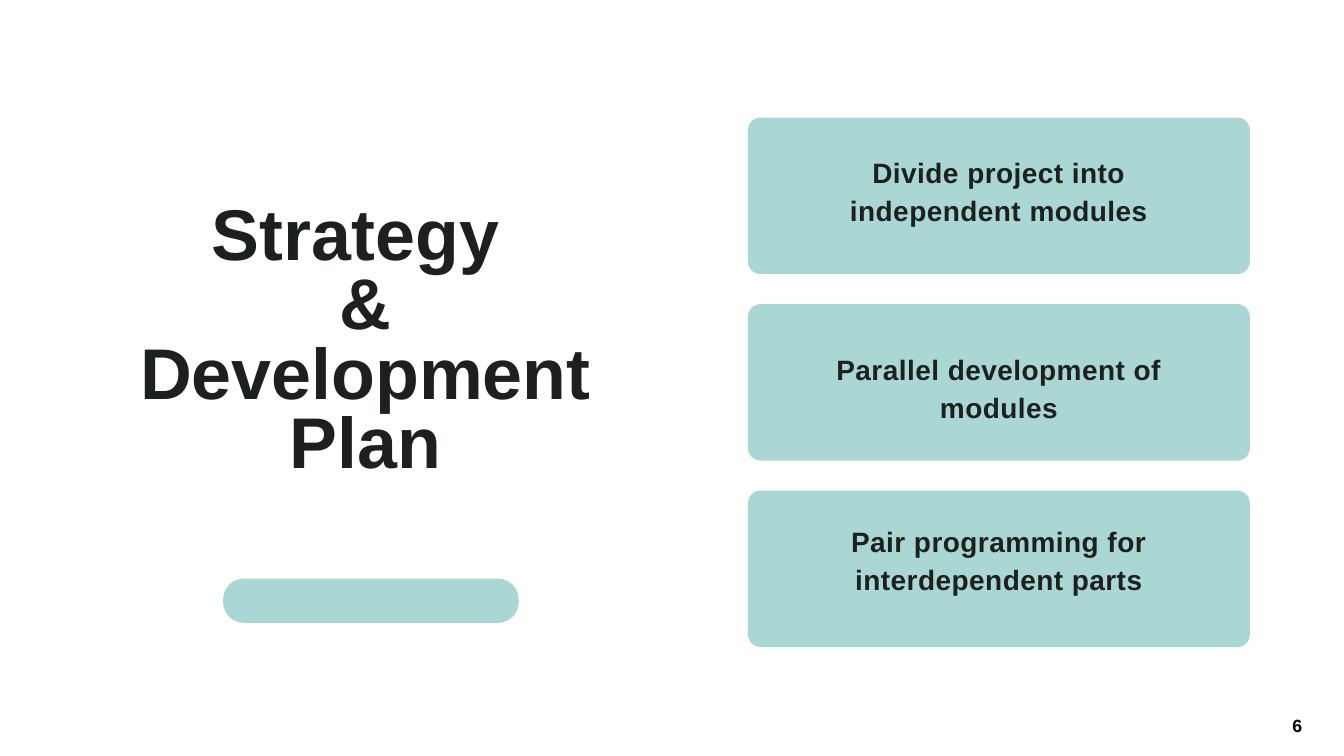
import pptx
import pptx.dml.color
import pptx.enum.shapes
import pptx.enum.text
import pptx.util

Inches, Pt = pptx.util.Inches, pptx.util.Pt

TITLE = ["Strategy ", "& Development Plan"]
# Card wording and the top of its text box
CARDS = [
    ("Divide project into independent modules", 2.25),
    ("Parallel development of modules", 5.19),
    ("Pair programming for interdependent parts", 7.75),
]
PAGE_NUMBER = "6"

THEME = {
    "font": "Arial",
    "panel": "AAD7D4",
    # size, line spacing, letter spacing (points), colour
    "title": (76.9, 74.6, 0, "1C2120"),
    "card": (30, 40.5, 0.5, "1C2120"),
    "number": (19, 26.6, 0, "000000"),
}

CARD_LEFT, CARD_TOP, CARD_W, CARD_H = 11.13, 1.75, 7.47, 2.33
CARD_PITCH = 2.775
CARD_TEXT_W, CARD_TEXT_H = 5.69, 1.75


def rgb(value):
    return pptx.dml.color.RGBColor.from_string(value)


def add_panel(slide, left, top, width, height, radius):
    sp = slide.shapes.add_shape(
        pptx.enum.shapes.MSO_SHAPE.ROUNDED_RECTANGLE,
        Inches(left), Inches(top), Inches(width), Inches(height))
    sp.adjustments[0] = radius / height
    sp.shadow.inherit = False
    sp.fill.solid()
    sp.fill.fore_color.rgb = rgb(THEME["panel"])
    sp.line.fill.background()


def add_text(slide, paragraphs, left, top, width, height, style):
    size, leading, tracking, color = THEME[style]
    tb = slide.shapes.add_textbox(
        Inches(left), Inches(top), Inches(width), Inches(height))
    tf = tb.text_frame
    tf.word_wrap = True
    tf.margin_left = tf.margin_right = tf.margin_top = tf.margin_bottom = 0
    tf.text = "\n".join(paragraphs)
    for p in tf.paragraphs:
        p.alignment = pptx.enum.text.PP_ALIGN.CENTER
        p.line_spacing = Pt(leading)
        for r in p.runs:
            r.font.name = THEME["font"]
            r.font.size = Pt(size)
            r.font.bold = True
            r.font.color.rgb = rgb(color)
            if tracking:
                r._r.get_or_add_rPr().set("spc", str(round(tracking * 100)))


def main():
    prs = pptx.Presentation()
    prs.slide_width, prs.slide_height = Inches(20), Inches(11.25)
    s = prs.slides.add_slide(prs.slide_layouts[6])

    add_text(s, TITLE, 1.66, 3.05, 7.56, 4.66, "title")
    add_panel(s, 3.32, 8.61, 4.4, 0.66, radius=0.31)

    text_left = CARD_LEFT + (CARD_W - CARD_TEXT_W) / 2
    for i, (wording, text_top) in enumerate(CARDS):
        add_panel(s, CARD_LEFT, CARD_TOP + i * CARD_PITCH, CARD_W, CARD_H,
                  radius=0.19)
        add_text(s, [wording], text_left, text_top, CARD_TEXT_W, CARD_TEXT_H,
                 "card")

    add_text(s, [PAGE_NUMBER], 19.23, 10.58, 0.15, 0.38, "number")
    prs.save("out.pptx")


if __name__ == "__main__":
    main()
